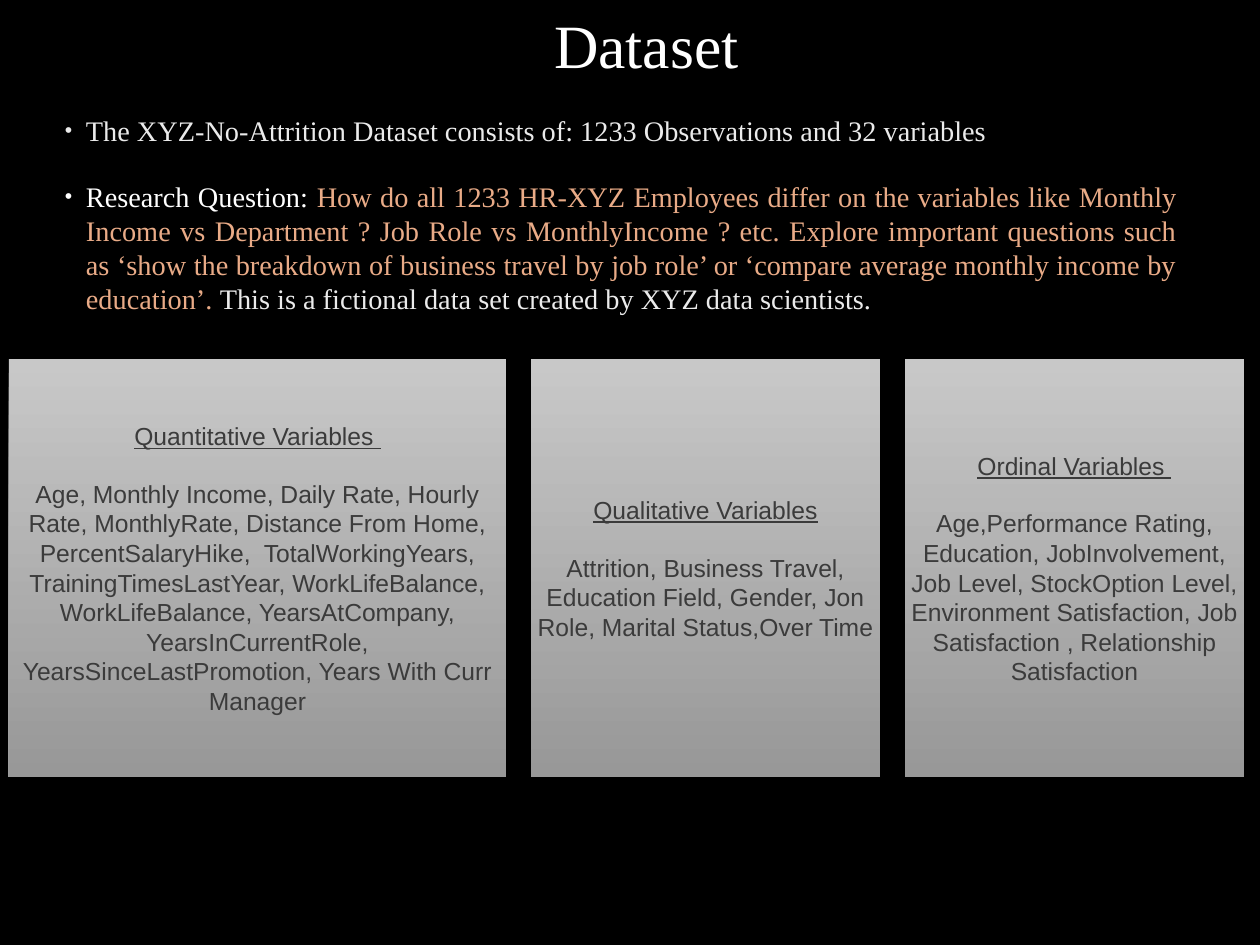
from lxml import etree
from pptx import Presentation
from pptx import util as u
from pptx.dml.color import RGBColor
from pptx.enum import shapes, text
from pptx.oxml.ns import qn

PX = 914400 / 88.6
COLORS = {
    "background": "000000",
    "title": "FFFFFF",
    "body": "EBEBEB",
    "question": "E9AB87",
    "panel_top": "FBFBFB",
    "panel_bottom": "BEBEBE",
    "panel_text": "3B3B3B",
}
SERIF, SANS = "Times New Roman", "Arial"
PANEL_LEFT, PANEL_TOP, PANEL_HEIGHT, PANEL_GAP = 9, 359, 418, 25

BULLETS = [
    [("The XYZ-No-Attrition Dataset consists of: 1233 Observations and 32 variables", "body")],
    [
        ("Research Question: ", "title"),
        ("How do all 1233 HR-XYZ Employees differ on the variables like Monthly Income vs "
         "Department ? Job Role vs MonthlyIncome ? etc. Explore important questions such as "
         "‘show the breakdown of business travel by job role’ or ‘compare average monthly "
         "income by education’. ", "question"),
        ("This is a fictional data set created by XYZ data scientists.", "body"),
    ],
]
PANELS = [
    (497, "Quantitative Variables ",
     "Age, Monthly Income, Daily Rate, Hourly Rate, MonthlyRate, Distance From Home, "
     "PercentSalaryHike,  TotalWorkingYears, TrainingTimesLastYear, WorkLifeBalance, "
     "WorkLifeBalance, YearsAtCompany, YearsInCurrentRole, YearsSinceLastPromotion, "
     "Years With Curr Manager"),
    (349, "Qualitative Variables",
     "Attrition, Business Travel, Education Field, Gender, Jon Role, Marital Status,Over Time"),
    (339, "Ordinal Variables ",
     "Age,Performance Rating, Education, JobInvolvement, Job Level, StockOption Level, "
     "Environment Satisfaction, Job Satisfaction , Relationship Satisfaction"),
]


def px(length):
    return u.Emu(round(length * PX))


def rgb(name):
    return RGBColor.from_string(COLORS[name])


def style_font(font, face, size, color):
    font.name, font.size = face, u.Pt(size)
    font.color.rgb = rgb(color)


def set_frame(frame, inset):
    """Wrap the text, centre it vertically and give all four sides one inset."""
    frame.word_wrap = True
    frame.vertical_anchor = text.MSO_ANCHOR.MIDDLE
    frame.margin_left = frame.margin_right = px(inset)
    frame.margin_top = frame.margin_bottom = px(inset)


def add_text_box(page, left, top, width, height):
    box = page.shapes.add_textbox(px(left), px(top), px(width), px(height))
    set_frame(box.text_frame, 0)
    return box.text_frame


def add_title(page, title):
    para = add_text_box(page, 90, 0, 1113, 88).paragraphs[0]
    para.text = title
    para.alignment = text.PP_ALIGN.CENTER
    style_font(para.runs[0].font, SERIF, 50, "title")


def set_bullet(para, color):
    props = para._p.get_or_add_pPr()
    props.set("marL", str(px(21)))
    props.set("indent", str(-px(21)))
    bullet_color = etree.SubElement(props, qn("a:buClr"))
    etree.SubElement(bullet_color, qn("a:srgbClr"), val=COLORS[color])
    etree.SubElement(props, qn("a:buSzPct"), val="75000")
    etree.SubElement(props, qn("a:buFont"), typeface=SANS)
    etree.SubElement(props, qn("a:buChar"), char="•")


def add_bullets(page, bullets):
    frame = add_text_box(page, 65, 100, 1113, 228)
    for index, spans in enumerate(bullets):
        para = frame.add_paragraph() if index else frame.paragraphs[0]
        para.alignment = text.PP_ALIGN.JUSTIFY
        para.space_before = u.Pt(26)
        set_bullet(para, spans[0][1])
        for words, color in spans:
            span = para.add_run()
            span.text = words
            style_font(span.font, SERIF, 23, color)


def fill_panel(panel):
    """Apply a vertical gradient at 80% opacity."""
    panel.fill.gradient()
    panel.fill.gradient_angle = 270
    for stop, color in zip(panel.fill.gradient_stops, ("panel_top", "panel_bottom")):
        stop.color.rgb = rgb(color)
    for color in panel.element.spPr.iter(qn("a:srgbClr")):
        etree.SubElement(color, qn("a:alpha"), val="80000")


def add_panel(page, left, width, heading, variables):
    panel = page.shapes.add_shape(shapes.MSO_SHAPE.RECTANGLE, px(left), px(PANEL_TOP),
                                  px(width), px(PANEL_HEIGHT))
    panel.shadow.inherit = False
    fill_panel(panel)
    panel.line.fill.background()
    frame = panel.text_frame
    set_frame(frame, 5)
    frame.text = f"{heading}\n{variables}"
    for para in frame.paragraphs:
        para.alignment = text.PP_ALIGN.CENTER
        style_font(para.runs[0].font, SANS, 20, "panel_text")
    title = frame.paragraphs[0]
    title.runs[0].font.underline = True
    title.space_after = u.Pt(23)


def main():
    deck = Presentation()
    deck.slide_width, deck.slide_height = px(1260), px(945)
    page = deck.slides.add_slide(deck.slide_layouts[6])
    page.background.fill.solid()
    page.background.fill.fore_color.rgb = rgb("background")
    add_title(page, "Dataset")
    add_bullets(page, BULLETS)
    left = PANEL_LEFT
    for width, heading, variables in PANELS:
        add_panel(page, left, width, heading, variables)
        left += width + PANEL_GAP
    deck.save("out.pptx")


if __name__ == "__main__":
    main()
